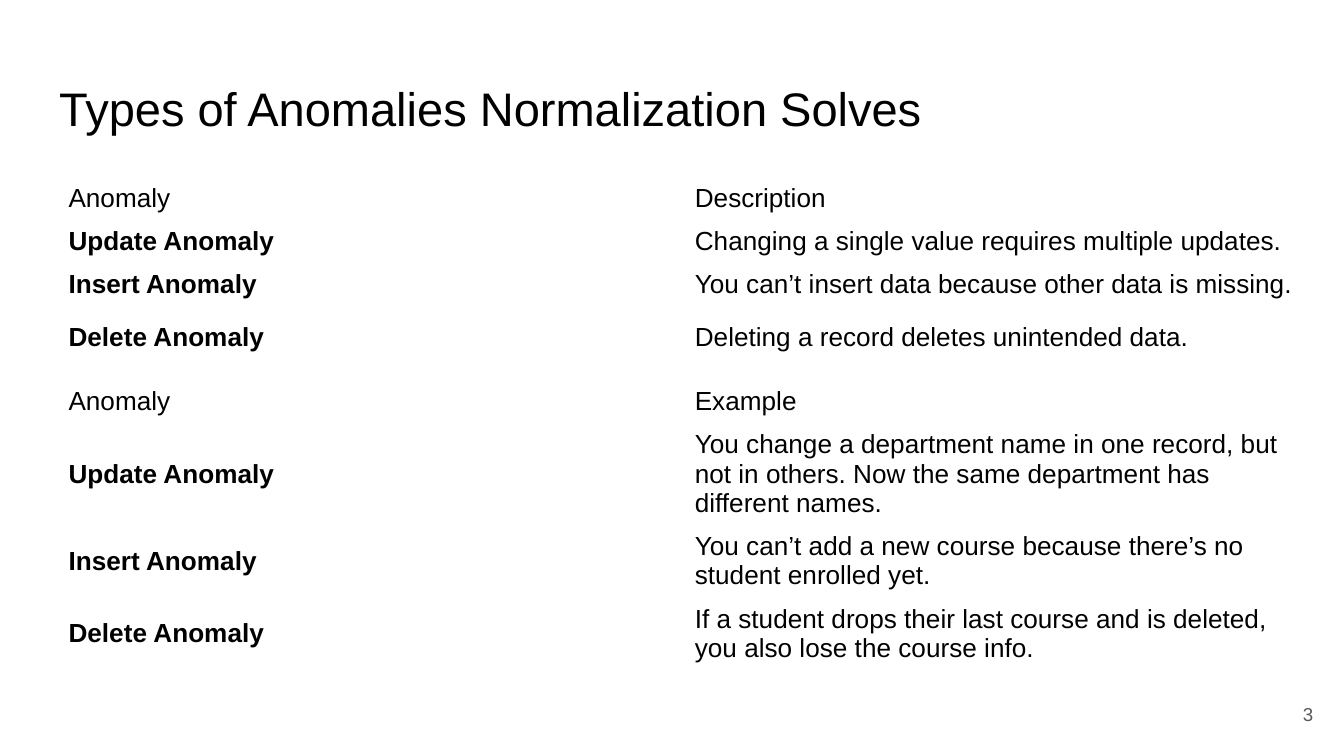
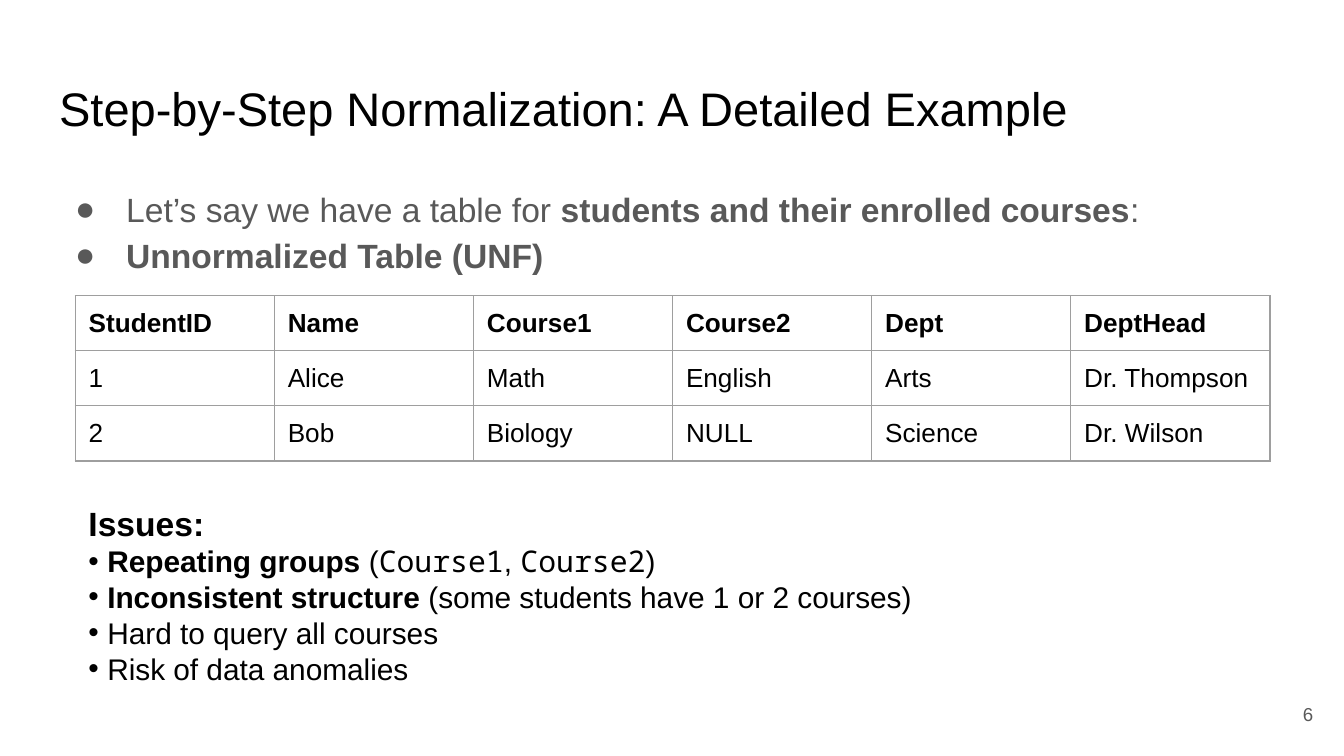
import dataclasses
import typing

import lxml.etree
import pptx
import pptx.dml.color
import pptx.enum.text
import pptx.oxml.ns
import pptx.util

Inches = pptx.util.Inches
Pt = pptx.util.Pt
Anchor = pptx.enum.text.MSO_ANCHOR
Align = pptx.enum.text.PP_ALIGN

BLACK = "000000"
GRAY = "595959"
BORDER = "9E9E9E"
SANS = "Arial"
MONO = "Noto Sans Mono"
SLIDE_WIDTH = 10
SLIDE_HEIGHT = SLIDE_WIDTH * 9 / 16
LEFT, WIDTH = 0.34, 9.32


class Span(typing.NamedTuple):
    text: str
    bold: bool = False
    font: str = SANS


@dataclasses.dataclass
class Line:
    spans: list[Span]
    size: float
    color: str = BLACK
    bullet: str = ""
    margin: float = 0
    hanging: float = 0
    spacing: float = 1.0
    align: Align = Align.LEFT


@dataclasses.dataclass
class Grid:
    left: float
    top: float
    width: float
    row_heights: list[float]
    rows: list[list[str]]
    bold_header: bool = False
    bold_labels: bool = False
    border: str = ""


def rgb(color: str) -> pptx.dml.color.RGBColor:
    return pptx.dml.color.RGBColor.from_string(color)


def add_element(parent, tag: str, **attributes: str):
    element = lxml.etree.SubElement(parent, pptx.oxml.ns.qn(tag))
    for name, value in attributes.items():
        element.set(name, value)
    return element


def write_line(paragraph, line: Line) -> None:
    if line.bullet:
        properties = paragraph._p.get_or_add_pPr()
        properties.set("marL", str(Inches(line.margin)))
        properties.set("indent", str(-Inches(line.hanging)))
        add_element(add_element(properties, "a:buClr"), "a:srgbClr", val=line.color)
        add_element(properties, "a:buFont", typeface=SANS)
        add_element(properties, "a:buChar", char=line.bullet)
    paragraph.alignment = line.align
    paragraph.line_spacing = line.spacing
    paragraph.font.size = Pt(line.size)
    paragraph.font.color.rgb = rgb(line.color)
    same_font = len({span.font for span in line.spans}) == 1
    same_weight = len({span.bold for span in line.spans}) == 1
    if same_font:
        paragraph.font.name = line.spans[0].font
    if same_weight:
        paragraph.font.bold = line.spans[0].bold
    for span in line.spans:
        run = paragraph.add_run()
        run.text = span.text
        if not same_font:
            run.font.name = span.font
        if not same_weight:
            run.font.bold = span.bold


def write_frame(frame, lines: list[Line], anchor: Anchor, inset: float = 0.1) -> None:
    frame.word_wrap = True
    frame.auto_size = pptx.enum.text.MSO_AUTO_SIZE.NONE
    frame.vertical_anchor = anchor
    frame.margin_left = frame.margin_right = Inches(0.1)
    frame.margin_top = frame.margin_bottom = Inches(inset)
    for index, line in enumerate(lines):
        write_line(frame.add_paragraph() if index else frame.paragraphs[0], line)


def add_text(slide, left: float, top: float, width: float, height: float,
             lines: list[Line], anchor: Anchor = Anchor.TOP, inset: float = 0.1) -> None:
    box = slide.shapes.add_textbox(Inches(left), Inches(top), Inches(width), Inches(height))
    write_frame(box.text_frame, lines, anchor, inset)


def add_borders(cell, color: str) -> None:
    properties = cell._tc.get_or_add_tcPr()
    for position, side in enumerate(("a:lnL", "a:lnR", "a:lnT", "a:lnB")):
        edge = add_element(properties, side, w=str(Pt(0.75)))
        add_element(add_element(edge, "a:solidFill"), "a:srgbClr", val=color)
        properties.insert(position, edge)


def add_grid(slide, grid: Grid) -> None:
    columns = len(grid.rows[0])
    table = slide.shapes.add_table(
        len(grid.rows), columns, Inches(grid.left), Inches(grid.top),
        Inches(grid.width), Inches(sum(grid.row_heights))).table
    table.first_row = table.horz_banding = False
    for row_index, (height, texts) in enumerate(zip(grid.row_heights, grid.rows)):
        table.rows[row_index].height = Inches(height)
        for column_index, text in enumerate(texts):
            cell = table.cell(row_index, column_index)
            cell.fill.background()
            cell.vertical_anchor = Anchor.MIDDLE
            cell.margin_left = cell.margin_right = Inches(0.1)
            cell.margin_top = cell.margin_bottom = Inches(0.05)
            bold = grid.bold_header if row_index == 0 else grid.bold_labels and column_index == 0
            write_line(cell.text_frame.paragraphs[0], Line([Span(text, bold)], 14))
            if grid.border:
                add_borders(cell, grid.border)


def add_slide(presentation, title: str, number: int):
    slide = presentation.slides.add_slide(presentation.slide_layouts[5])
    shape = slide.shapes.title
    shape.left, shape.top = Inches(LEFT), Inches(0.49)
    shape.width, shape.height = Inches(WIDTH), Inches(0.63)
    write_frame(shape.text_frame, [Line([Span(title)], 25.2)], Anchor.TOP)
    add_text(slide, 9.27, 5.1, 0.6, 0.43,
             [Line([Span(str(number))], 10, GRAY, align=Align.RIGHT)], Anchor.MIDDLE)
    return slide


def build_anomalies(presentation) -> None:
    slide = add_slide(presentation, "Types of Anomalies Normalization Solves", 3)
    labels = ["Anomaly", "Update Anomaly", "Insert Anomaly", "Delete Anomaly"]
    descriptions = [
        "Description",
        "Changing a single value requires multiple updates.",
        "You can’t insert data because other data is missing.",
        "Deleting a record deletes unintended data.",
    ]
    examples = [
        "Example",
        "You change a department name in one record, but not in others. "
        "Now the same department has different names.",
        "You can’t add a new course because there’s no student enrolled yet.",
        "If a student drops their last course and is deleted, you also lose the course info.",
    ]
    for top, heights, texts in (
        (1.32, [0.32, 0.32, 0.32, 0.46], descriptions),
        (2.83, [0.32, 0.75, 0.54, 0.54], examples),
    ):
        rows = [list(pair) for pair in zip(labels, texts)]
        add_grid(slide, Grid(0.41, top, WIDTH, heights, rows, bold_labels=True))


def intro_line(*spans: Span) -> Line:
    return Line(list(spans), 18, GRAY, "●", 0.5, 0.38, 1.15)


def issue_line(*spans: Span) -> Line:
    return Line(list(spans), 16, BLACK, "•", 0.14, 0.14)


def build_example(presentation) -> None:
    slide = add_slide(presentation, "Step-by-Step Normalization: A Detailed Example", 6)
    add_text(slide, LEFT, 1.26, WIDTH, 4.07, [
        intro_line(Span("Let’s say we have a table for "),
                   Span("students and their enrolled courses", True), Span(":")),
        intro_line(Span("Unnormalized Table (UNF)", True)),
    ])
    add_grid(slide, Grid(0.56, 2.2, 8.89, [0.41] * 3, [
        ["StudentID", "Name", "Course1", "Course2", "Dept", "DeptHead"],
        ["1", "Alice", "Math", "English", "Arts", "Dr. Thompson"],
        ["2", "Bob", "Biology", "NULL", "Science", "Dr. Wilson"],
    ], bold_header=True, border=BORDER))
    add_text(slide, 0.56, 3.68, 6.41, 1.78, [
        Line([Span("Issues:", True)], 18),
        issue_line(Span("Repeating groups", True), Span(" ("), Span("Course1", font=MONO),
                   Span(", "), Span("Course2", font=MONO), Span(")")),
        issue_line(Span("Inconsistent structure", True),
                   Span(" (some students have 1 or 2 courses)")),
        issue_line(Span("Hard to query all courses")),
        issue_line(Span("Risk of data anomalies")),
    ], inset=0.06)


def main() -> None:
    presentation = pptx.Presentation()
    presentation.slide_width = Inches(SLIDE_WIDTH)
    presentation.slide_height = Inches(SLIDE_HEIGHT)
    build_anomalies(presentation)
    build_example(presentation)
    presentation.save("out.pptx")


if __name__ == "__main__":
    main()
